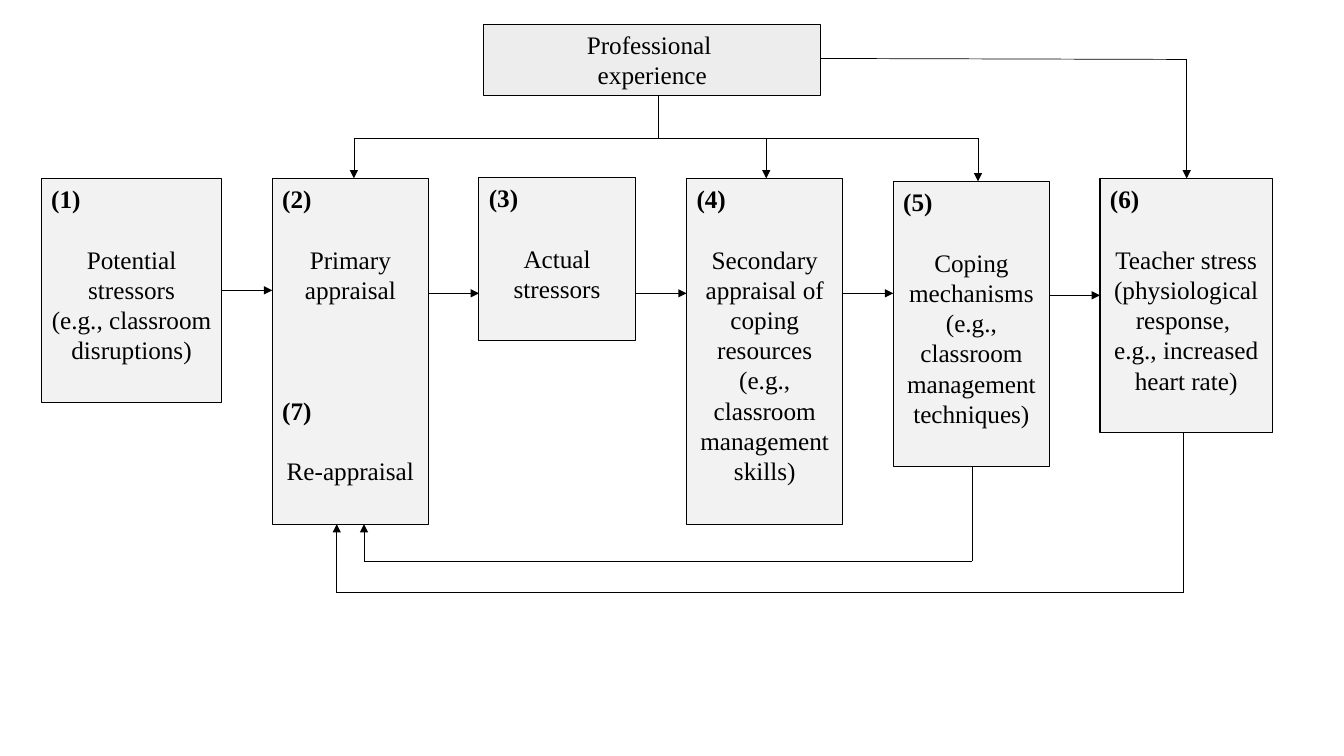
import dataclasses
import itertools
import typing

import pptx
import pptx.dml.color
import pptx.enum.dml
import pptx.enum.shapes
import pptx.enum.text
import pptx.oxml
import pptx.oxml.ns
import pptx.util

Inches = pptx.util.Inches
Pt = pptx.util.Pt
Align = pptx.enum.text.PP_ALIGN


@dataclasses.dataclass(frozen=True)
class Theme:
    font: str = "Times New Roman"
    size: float = 18
    gap: float = 21.6  # one blank line, in points
    ink: str = "000000"
    head: str = "EDEDED"
    step: str = "F2F2F2"
    edge: float = 0.75
    wire: float = 0.5


THEME = Theme()


class Line(typing.NamedTuple):
    text: str
    bold: bool = False
    align: Align = Align.CENTER
    skip: int = 0  # blank lines above


class Box(typing.NamedTuple):
    left: float
    top: float
    width: float
    height: float
    fill: str
    lines: list[Line]

    @property
    def right(self) -> float:
        return self.left + self.width

    @property
    def base(self) -> float:
        return self.top + self.height


class Wire(typing.NamedTuple):
    start: tuple[float, float]
    end: tuple[float, float]
    arrow: bool = False


def part(mark: str, *body: str, skip: int = 0) -> list[Line]:
    """A bold number at the left, then a centred label one line below."""
    first, *rest = body
    return [Line(mark, bold=True, align=Align.LEFT, skip=skip),
            Line(first, skip=1), *map(Line, rest)]


def step(left: float, top: float, width: float, height: float,
         lines: list[Line]) -> Box:
    return Box(left, top, width, height, THEME.step, lines)


def tint(code: str) -> pptx.dml.color.RGBColor:
    return pptx.dml.color.RGBColor.from_string(code)


def write(para, text: str, *, bold: bool = False, align: Align = Align.CENTER,
          skip: int = 0) -> None:
    para.alignment = align
    if skip:
        para.space_before = Pt(skip * THEME.gap)
    run = para.add_run()
    run.text = text
    run.font.name = THEME.font
    run.font.size = Pt(THEME.size)
    run.font.bold = bold
    run.font.color.rgb = tint(THEME.ink)


def draw_box(slide, box: Box) -> None:
    shape = slide.shapes.add_shape(
        pptx.enum.shapes.MSO_SHAPE.RECTANGLE,
        *map(Inches, (box.left, box.top, box.width, box.height)))
    shape.shadow.inherit = False
    shape.fill.solid()
    shape.fill.fore_color.rgb = tint(box.fill)
    shape.line.color.rgb = tint(THEME.ink)
    shape.line.width = Pt(THEME.edge)
    frame = shape.text_frame
    frame.word_wrap = True
    frame.vertical_anchor = pptx.enum.text.MSO_ANCHOR.TOP
    for i, line in enumerate(box.lines):
        para = frame.add_paragraph() if i else frame.paragraphs[0]
        write(para, line.text, bold=line.bold, align=line.align, skip=line.skip)


def draw_wire(slide, wire: Wire) -> None:
    link = slide.shapes.add_connector(
        pptx.enum.shapes.MSO_CONNECTOR.STRAIGHT,
        *map(Inches, (*wire.start, *wire.end)))
    link.line.color.rgb = tint(THEME.ink)
    link.line.width = Pt(THEME.wire)
    if wire.arrow:
        tail = pptx.oxml.parse_xml(
            f'<a:tailEnd {pptx.oxml.ns.nsdecls("a")} type="triangle"/>')
        link.line._get_or_add_ln().append(tail)
    link._element.spPr.append(
        pptx.oxml.parse_xml(f'<a:effectLst {pptx.oxml.ns.nsdecls("a")}/>'))


HEAD = Box(4.8, 0.24, 3.34, 0.71, THEME.head,
           [Line("Professional "), Line("experience")])

STEPS = [
    step(0.41, 1.77, 1.79, 2.22,
         part("(1)", "Potential stressors", "(e.g., classroom disruptions)")),
    step(2.7, 1.77, 1.55, 3.43,
         part("(2)", "Primary appraisal") + part("(7)", "Re-appraisal", skip=3)),
    step(4.75, 1.76, 1.55, 1.62, part("(3)", "Actual stressors")),
    step(6.81, 1.77, 1.55, 3.43,
         part("(4)", "Secondary appraisal of coping resources "
                     "(e.g., classroom management skills)")),
    step(8.86, 1.8, 1.55, 2.83,
         part("(5)", "Coping",
              "mechanisms (e.g., classroom management techniques)")),
    step(10.91, 1.77, 1.71, 2.52,
         part("(6)", "Teacher stress", "(physiological response, ",
              "e.g., increased heart rate)")),
]

FLOW = [2.88, 2.91, 2.91, 2.91, 2.93]  # height of each arrow between steps
BAR = 1.37  # level of the branch below the head box


def chain() -> list[Wire]:
    """Arrows from each step to the next."""
    return [Wire((a.right, y), (b.left, y), True)
            for (a, b), y in zip(itertools.pairwise(STEPS), FLOW)]


def branch() -> list[Wire]:
    """From experience down to steps 2, 4 and 5, and across to step 6."""
    drops = [(3.51, STEPS[1]), (7.6, STEPS[3]), (9.7, STEPS[4])]
    return [
        Wire((6.53, HEAD.base), (6.53, BAR)),
        Wire((drops[0][0], BAR), (drops[-1][0], BAR)),
        *(Wire((x, BAR), (x, box.top), True) for x, box in drops),
        Wire((HEAD.right, 0.58), (11.77, 0.59)),
        Wire((11.77, 0.59), (11.77, STEPS[5].top), True),
    ]


def loop(box: Box, out: float, back: float, low: float) -> list[Wire]:
    """From below a step back up into step 2."""
    return [
        Wire((out, box.base), (out, low)),
        Wire((back, low), (out, low)),
        Wire((back, low), (back, STEPS[1].base), True),
    ]


def main() -> None:
    deck = pptx.Presentation()
    deck.slide_width, deck.slide_height = Inches(13.33), Inches(7.5)
    slide = deck.slides.add_slide(deck.slide_layouts[6])

    # Boxes
    for box in (HEAD, *STEPS):
        draw_box(slide, box)

    # Links
    loops = loop(STEPS[4], 9.64, 3.61, 5.57) + loop(STEPS[5], 11.74, 3.34, 5.88)
    for wire in chain() + loops + branch():
        draw_wire(slide, wire)

    deck.save("out.pptx")


if __name__ == "__main__":
    main()
